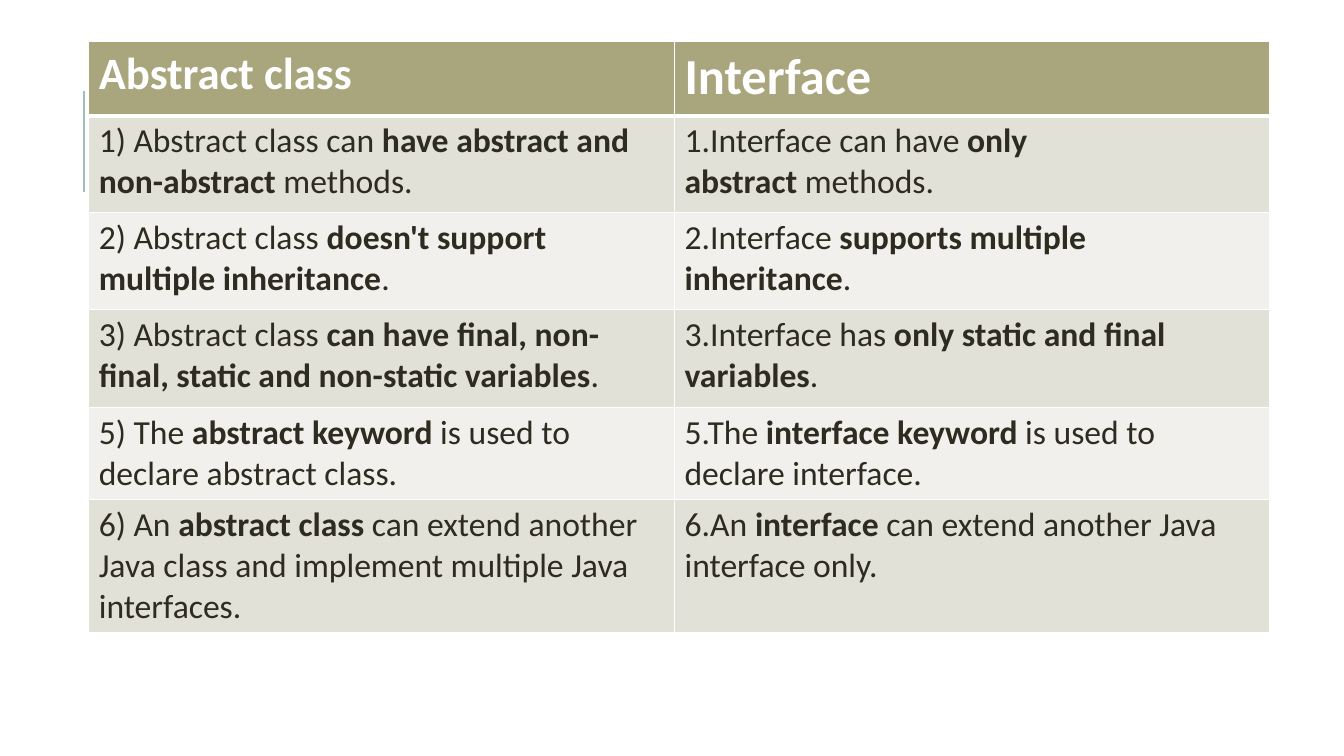
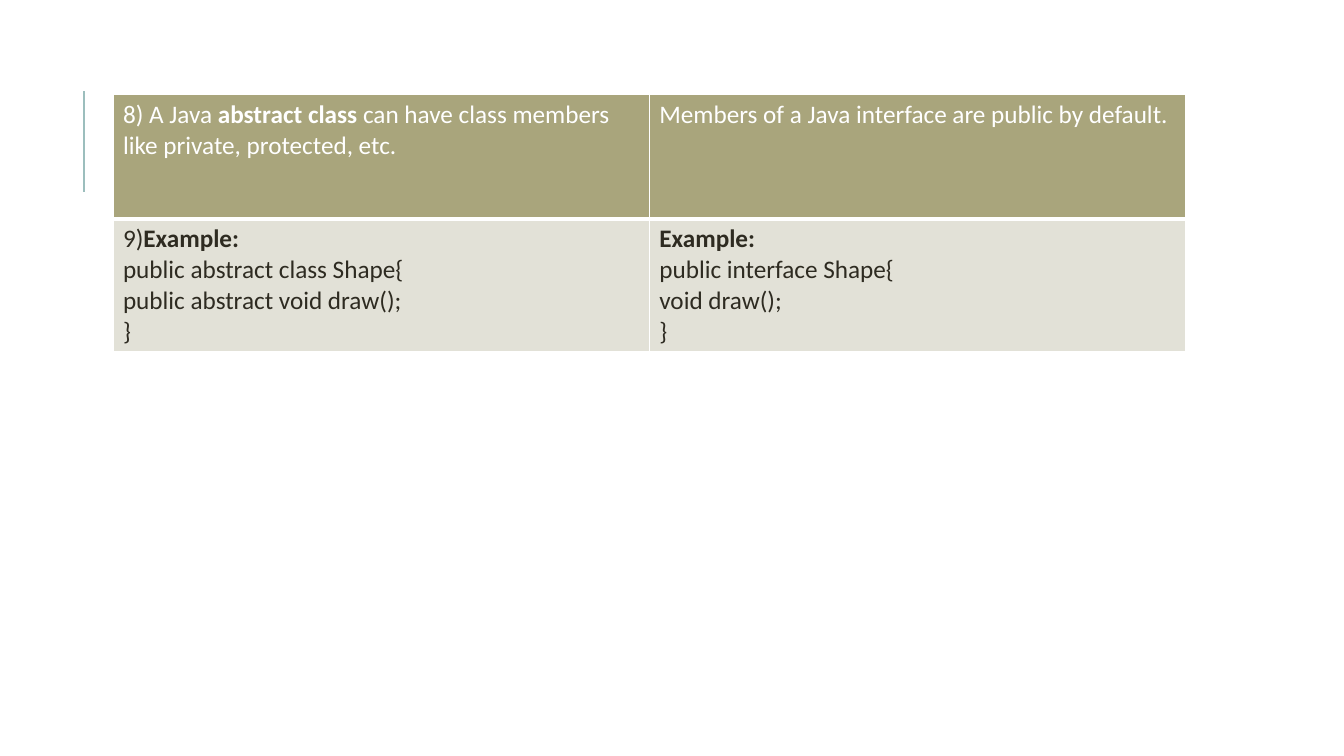
import dataclasses

import lxml.etree
import pptx
import pptx.dml.color
import pptx.enum.shapes
import pptx.oxml.ns
import pptx.util

Inches = pptx.util.Inches
Pt = pptx.util.Pt
RGB = pptx.dml.color.RGBColor.from_string
qn = pptx.oxml.ns.qn


@dataclasses.dataclass(frozen=True)
class Theme:
    font: str = "Calibri"
    header: str = "A9A57C"
    bands: tuple = ("E2E1D7", "F1F0EC")
    text: str = "2E2B21"
    white: str = "FFFFFF"
    accent: str = "9CBEBD"
    title_sizes: tuple = (32, 36)
    body: int = 24
    small: int = 18


theme = Theme()


def add_border(cell, side, width):
    tc_pr = cell._tc.get_or_add_tcPr()
    ln = lxml.etree.SubElement(tc_pr, qn(f"a:ln{side}"), w=str(Pt(width)))
    fill = lxml.etree.SubElement(ln, qn("a:solidFill"))
    lxml.etree.SubElement(fill, qn("a:srgbClr"), val=theme.white)


def write_cell(cell, text, size, color):
    tf = cell.text_frame
    for i, line in enumerate(text.split("\n")):
        p = tf.add_paragraph() if i else tf.paragraphs[0]
        p.font.name = theme.font
        p.font.size = Pt(size)
        p.font.color.rgb = RGB(color)
        for j, part in enumerate(line.split("*")):
            if part:
                r = p.add_run()
                r.text = part
                r.font.bold = j % 2 == 1


comparison = [
    ("*Abstract class*", "*Interface*"),
    ("1) Abstract class can\u00a0*have abstract and non-abstract*\u00a0methods.",
     "1.Interface can have\u00a0*only abstract*\u00a0methods."),
    ("2) Abstract class\u00a0*doesn't support multiple inheritance*.",
     "2.Interface\u00a0*supports multiple inheritance*."),
    ("3) Abstract class\u00a0*can have final, non-final, static and non-static variables*.",
     "3.Interface has\u00a0*only static and final variables*."),
    ("5) The\u00a0*abstract keyword*\u00a0is used to declare abstract class.",
     "5.The\u00a0*interface keyword*\u00a0is used to declare interface."),
    ("6) An\u00a0*abstract class*\u00a0can extend another Java class and implement multiple Java interfaces.",
     "6.An\u00a0*interface*\u00a0can extend another Java interface only."),
]
examples = [
    ("8) A Java\u00a0*abstract class*\u00a0can have class members like private, protected, etc.",
     "Members of a Java interface are public by default."),
    ("9)*Example:*\npublic abstract class Shape{\npublic abstract void draw();\n}",
     "*Example:*\npublic interface Shape{\nvoid draw();\n}"),
]
tables = [
    (comparison, 0.88, 0.41, (5.81, 5.9), (0.74, 0.96, 0.96, 0.97, 0.83, 1.2),
     theme.title_sizes, theme.body),
    (examples, 1.12, 0.94, (5.32, 5.32), (1.23, 1.23),
     (theme.small, theme.small), theme.small),
]

prs = pptx.Presentation()
prs.slide_width = Inches(13.33)
prs.slide_height = Inches(7.5)
layout = prs.slide_layouts[6]

for rows, left, top, widths, heights, header_sizes, body_size in tables:
    s = prs.slides.add_slide(layout)
    if len(prs.slides) == 1:
        rule = s.shapes.add_connector(
            pptx.enum.shapes.MSO_CONNECTOR.STRAIGHT,
            Inches(0.83), Inches(1.9), Inches(0.83), Inches(0.9))
        rule.line.color.rgb = RGB(theme.accent)
        rule.line.width = Pt(1.5)
        lxml.etree.SubElement(rule.element.spPr, qn("a:effectLst"))
        layout.shapes.element.append(rule.element)

    table = s.shapes.add_table(
        len(rows), len(widths), Inches(left), Inches(top),
        Inches(sum(widths)), Inches(sum(heights))).table
    for column, width in zip(table.columns, widths):
        column.width = Inches(width)
    for i, (texts, height) in enumerate(zip(rows, heights)):
        table.rows[i].height = Inches(height)
        for j, text in enumerate(texts):
            cell = table.cell(i, j)
            for side in "LRTB":
                if side != "T" or i != 1:
                    add_border(cell, side, 3 if side == "B" and i == 0 else 1)
            cell.fill.solid()
            if i == 0:
                cell.fill.fore_color.rgb = RGB(theme.header)
                write_cell(cell, text, header_sizes[j], theme.white)
            else:
                cell.fill.fore_color.rgb = RGB(theme.bands[(i - 1) % 2])
                write_cell(cell, text, body_size, theme.text)

prs.save("out.pptx")
